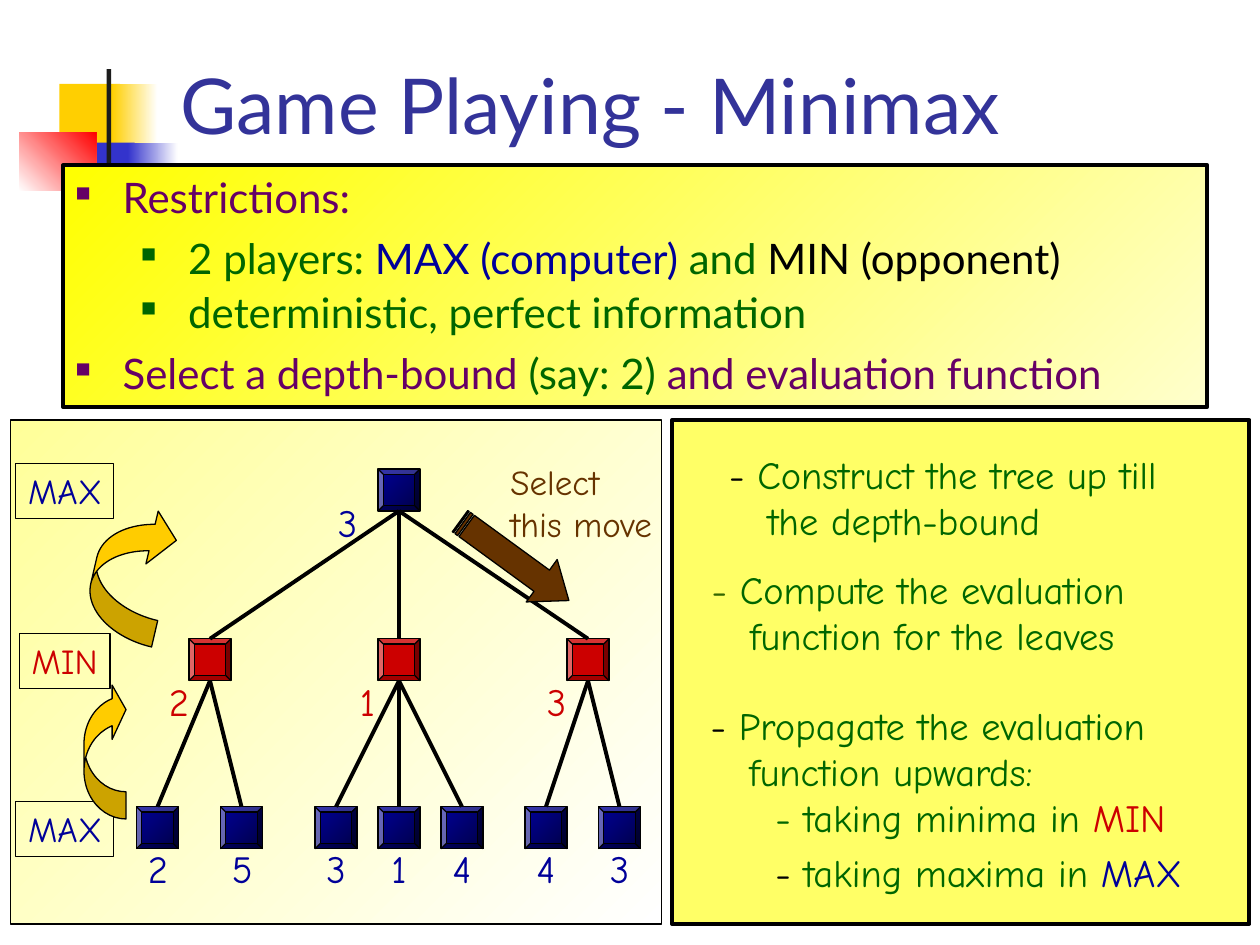
"""Build the minimax game-playing slide."""
from lxml import etree
from pptx import Presentation
from pptx.dml.color import RGBColor
from pptx.enum.shapes import MSO_CONNECTOR as CONNECTOR, MSO_SHAPE as SHAPE
from pptx.enum.text import MSO_ANCHOR as ANCHOR, PP_ALIGN as ALIGN
from pptx.oxml.ns import qn
from pptx.util import Pt

BLACK = RGBColor(0, 0, 0)
WHITE = RGBColor(255, 255, 255)
GOLD = RGBColor(0xFF, 0xCF, 0x01)
BLUE = RGBColor(0x33, 0x33, 0xCC)
RED = RGBColor(0xFF, 0, 0)
CHARCOAL = RGBColor(0x1C, 0x1C, 0x1C)
INDIGO = RGBColor(0x33, 0x33, 0x99)
YELLOW = RGBColor(0xFF, 0xFF, 0)
CREAM = RGBColor(0xFF, 0xFF, 0xCC)
PALE = RGBColor(0xFF, 0xFF, 0x99)
LEMON = RGBColor(0xFF, 0xFF, 0x66)
PURPLE = RGBColor(0x66, 0, 0x66)
GREEN = RGBColor(0, 0x66, 0)
OLIVE = RGBColor(0x33, 0x66, 0)
NAVY = RGBColor(0, 0, 0x99)
MIDNIGHT = RGBColor(0, 0, 0x47)
CRIMSON = RGBColor(0xCC, 0, 0)
BROWN = RGBColor(0x66, 0x33, 0)
AMBER = RGBColor(0xFF, 0xCC, 0)

THIN, THICK = 0.75, 2.25
DOWN_RIGHT, UP_RIGHT = 315, 45

prs = Presentation()
prs.slide_width, prs.slide_height = Pt(720), Pt(540)
slide = prs.slides.add_slide(prs.slide_layouts[6])
shapes = slide.shapes


def draw(box, colors=(), angle=0, line=0, kind=SHAPE.RECTANGLE, adjustments=()):
    shape = shapes.add_shape(kind, *map(Pt, box))
    shape.shadow.inherit = False
    if len(colors) == 2:
        shape.fill.gradient()
        shape.fill.gradient_angle = angle
        for stop, color in zip(shape.fill.gradient_stops, colors):
            stop.color.rgb = color
    elif colors:
        shape.fill.solid()
        shape.fill.fore_color.rgb = colors[0]
    else:
        shape.fill.background()
    if line:
        shape.line.color.rgb = BLACK
        shape.line.width = Pt(line)
    else:
        shape.line.fill.background()
    for index, adjustment in enumerate(adjustments):
        shape.adjustments[index] = adjustment
    return shape


def write(shape, paragraphs, size, font="Comic Neue", wrap=False, anchor=ANCHOR.TOP, align=ALIGN.LEFT):
    frame = shape.text_frame
    frame.word_wrap = wrap
    frame.vertical_anchor = anchor
    for index, (margin, bullet_color, runs) in enumerate(paragraphs):
        paragraph = frame.add_paragraph() if index else frame.paragraphs[0]
        paragraph.alignment = align
        properties = paragraph._p.get_or_add_pPr()
        properties.set("marL", str(Pt(margin)))
        if bullet_color:
            paragraph.level = 1 if margin == SUB_POINT else 0
            paragraph.space_before = Pt(6 if index else 0)
            properties.set("indent", str(Pt(-27)))
            bullet_fill = etree.SubElement(properties, qn("a:buClr"))
            etree.SubElement(bullet_fill, qn("a:srgbClr"), val=str(bullet_color))
            etree.SubElement(properties, qn("a:buSzPct"), val="50000")
            etree.SubElement(properties, qn("a:buChar"), char="■")
        for text, color in runs:
            run = paragraph.add_run()
            run.text = text
            run.font.size = Pt(size)
            run.font.name = font
            run.font.color.rgb = color


for box, colors, angle in [
    ((34, 48, 34.5, 37.5), [GOLD], 0),
    ((64, 48, 26, 37.5), [GOLD, WHITE], 0),
    ((44, 81.5, 33, 37.5), [BLUE], 0),
    ((73, 81.5, 28.5, 37.5), [BLUE, WHITE], 0),
    ((11, 75.5, 44, 33.5), [WHITE, RED], UP_RIGHT),
    ((61, 39.5, 2.5, 83), [CHARCOAL], 0),
]:
    draw(box, colors, angle)

title = shapes.add_textbox(Pt(96), Pt(17.5), Pt(558), Pt(72))
write(title, [(0, None, [("Game Playing - Minimax", INDIGO)])], 44, "Lato", True, ANCHOR.BOTTOM)

POINT, SUB_POINT = 27, 64.5
restrictions = draw((36, 94.5, 654, 138), [YELLOW, CREAM], DOWN_RIGHT, THICK)
write(restrictions, [
    (POINT, PURPLE, [("Restrictions:", PURPLE)]),
    (SUB_POINT, GREEN, [("2 players: ", GREEN), ("MAX (computer) ", NAVY), ("and", GREEN),
                        (" MIN (opponent)", BLACK)]),
], 24, "Lato", True)
depth_bound = shapes.add_textbox(Pt(36), Pt(160), Pt(654), Pt(72))
write(depth_bound, [
    (SUB_POINT, GREEN, [("deterministic, perfect information", GREEN)]),
    (POINT, PURPLE, [("Select a depth-bound ", PURPLE), ("(say: 2)", GREEN),
                     (" and evaluation function", PURPLE)]),
], 24, "Lato", True)

NODE = 24
ROOT_X, ROOT_Y, MIN_Y, LEAF_Y = 228, 268, 365, 461
MIN_SPACING = 108
SCORE_WIDTH, SCORE_HEIGHT = 25, 34
MAX_FILL, MIN_FILL = [NAVY, MIDNIGHT], [CRIMSON]

draw((6, 240, 372, 288), [PALE, WHITE], DOWN_RIGHT, THIN)
for player, color, width, node_y in [
    ("MAX", NAVY, 56, ROOT_Y), ("MIN", CRIMSON, 52, MIN_Y), ("MAX", NAVY, 56, LEAF_Y),
]:
    player_label = draw((37 - width / 2, node_y - 3, width, 31.5), line=THIN)
    write(player_label, [(0, None, [(player, color)])], 20)

nodes = [(ROOT_X, ROOT_Y, MAX_FILL)]
branches = []
scores = [("3", ROOT_X - 29.5, ROOT_Y + 13.5, NAVY)]
subtrees = [
    ("2", [(-30, "2"), (18, "5")]),
    ("1", [(-36, "3"), (0, "1"), (36, "4")]),
    ("3", [(-24, "4"), (18, "3")]),
]
for column, (min_score, leaves) in enumerate(subtrees):
    min_x = ROOT_X + (column - 1) * MIN_SPACING
    nodes.append((min_x, MIN_Y, MIN_FILL))
    branches.append((ROOT_X, ROOT_Y + NODE, min_x, MIN_Y))
    scores.append((min_score, min_x - 18, MIN_Y + 19, CRIMSON))
    for offset, leaf_score in leaves:
        leaf_x = min_x + offset
        nodes.append((leaf_x, LEAF_Y, MAX_FILL))
        branches.append((min_x, MIN_Y + NODE, leaf_x, LEAF_Y))
        scores.append((leaf_score, leaf_x, LEAF_Y + 18.5, NAVY))

for center_x, top, colors in nodes:
    draw((center_x - NODE / 2, top, NODE, NODE), colors, DOWN_RIGHT, THIN, SHAPE.BEVEL, [0.125])
for ends in branches:
    branch = shapes.add_connector(CONNECTOR.STRAIGHT, *map(Pt, ends))
    branch.line.color.rgb = BLACK
    branch.line.width = Pt(THICK)
    etree.SubElement(branch._element.spPr, qn("a:effectLst"))
for score, center_x, top, color in scores:
    score_label = shapes.add_textbox(Pt(center_x - SCORE_WIDTH / 2), Pt(top), Pt(SCORE_WIDTH), Pt(SCORE_HEIGHT))
    write(score_label, [(0, None, [(score, color)])], 22, align=ALIGN.CENTER)

SHAFT, HEAD = 15.5, 31
for left, top, width, height, rotation in [(48, 390, 24, 78, 0), (54, 288, 42, 78, 13.1)]:
    propagate_arrow = draw((left, top, width, height), [AMBER], line=THIN, kind=SHAPE.CURVED_RIGHT_ARROW,
                           adjustments=[SHAFT / width, HEAD / width, 0.33])
    propagate_arrow.rotation = rotation
    propagate_arrow._element.spPr.find(qn("a:xfrm")).set("flipV", "1")

move_arrow = draw((255.5, 305.5, 77, 30), [BROWN], line=THIN, kind=SHAPE.STRIPED_RIGHT_ARROW,
                  adjustments=[0.5, 0.64])
move_arrow.rotation = 36.1
move_label = shapes.add_textbox(Pt(284.5), Pt(259.5), Pt(96), Pt(55.5))
write(move_label, [(0, None, [(text, BROWN)]) for text in ("Select", "this move")], 20)

CONTINUED, SUB_STEP = 22, 37
draw((384, 240, 330, 288), [LEMON], line=THICK)
for box, paragraphs in [
    ((409.5, 254, 259, 60.5), [
        (0, None, [("- ", BLACK), ("Construct the tree up till", GREEN)]),
        (CONTINUED, None, [("the depth-bound", GREEN)])]),
    ((399.5, 320, 258.5, 60.5), [
        (0, None, [("- ", OLIVE), ("Compute the evaluation", GREEN)]),
        (CONTINUED, None, [("function for the leaves", GREEN)])]),
    ((399, 397.5, 274.5, 86.5), [
        (0, None, [("- ", BLACK), ("Propagate the evaluation", GREEN)]),
        (CONTINUED, None, [("function upwards:", GREEN)]),
        (SUB_STEP, None, [("- taking minima in ", GREEN), ("MIN", CRIMSON)])]),
    ((436, 481.5, 247, 34), [
        (0, None, [("- ", BLACK), ("taking maxima in ", GREEN), ("MAX", NAVY)])]),
]:
    write(shapes.add_textbox(*map(Pt, box)), paragraphs, 22)

prs.save("out.pptx")
